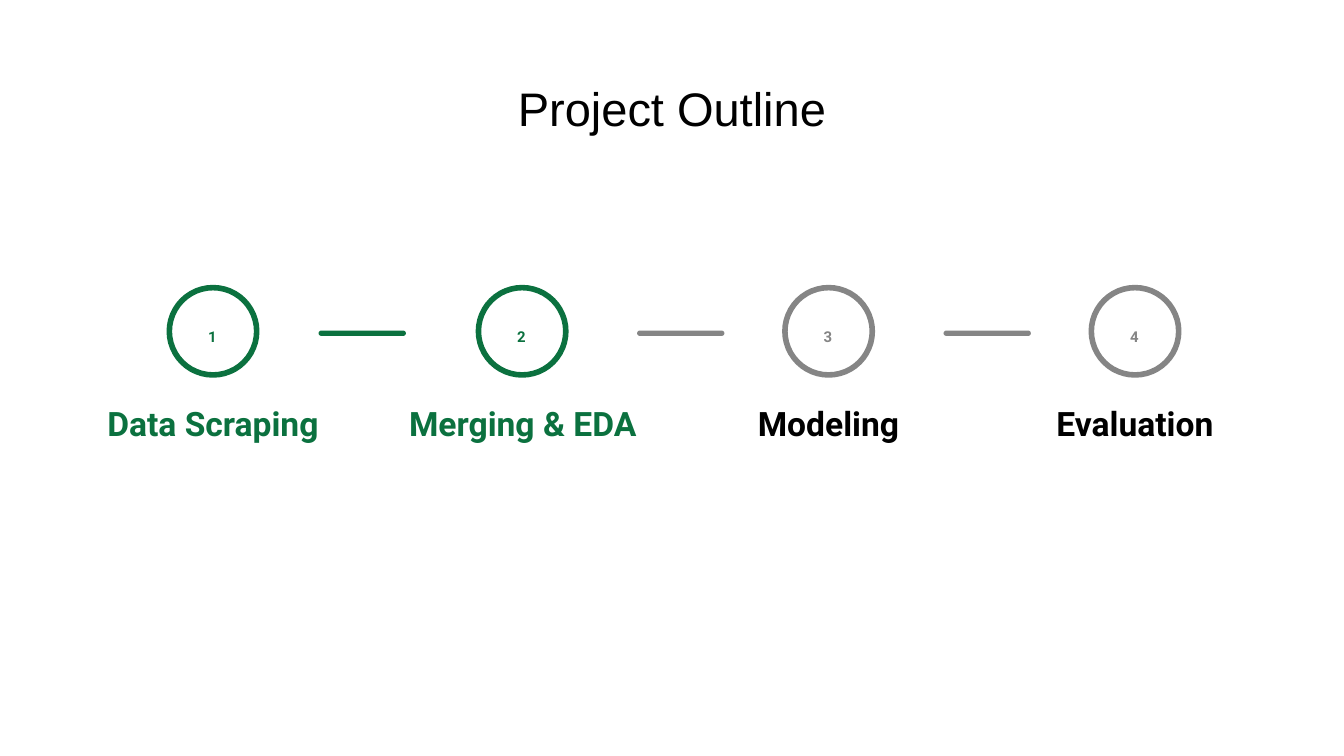
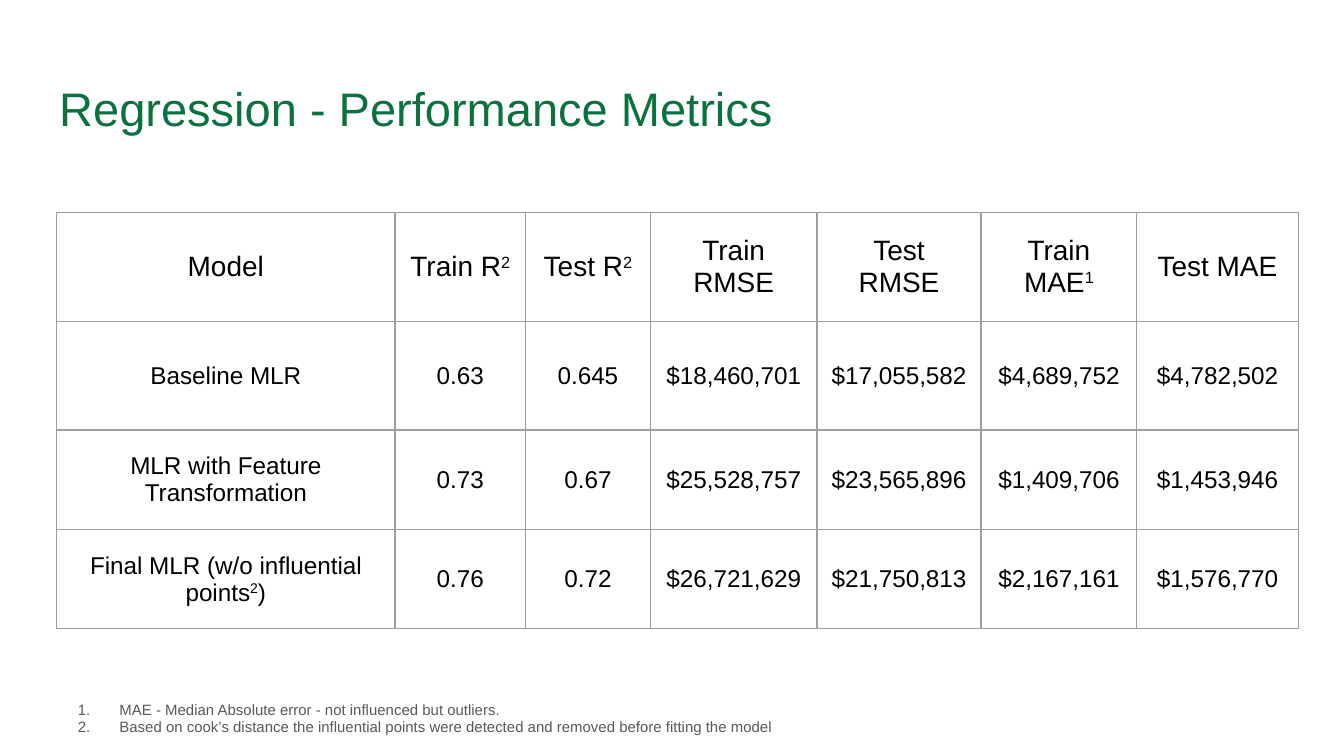
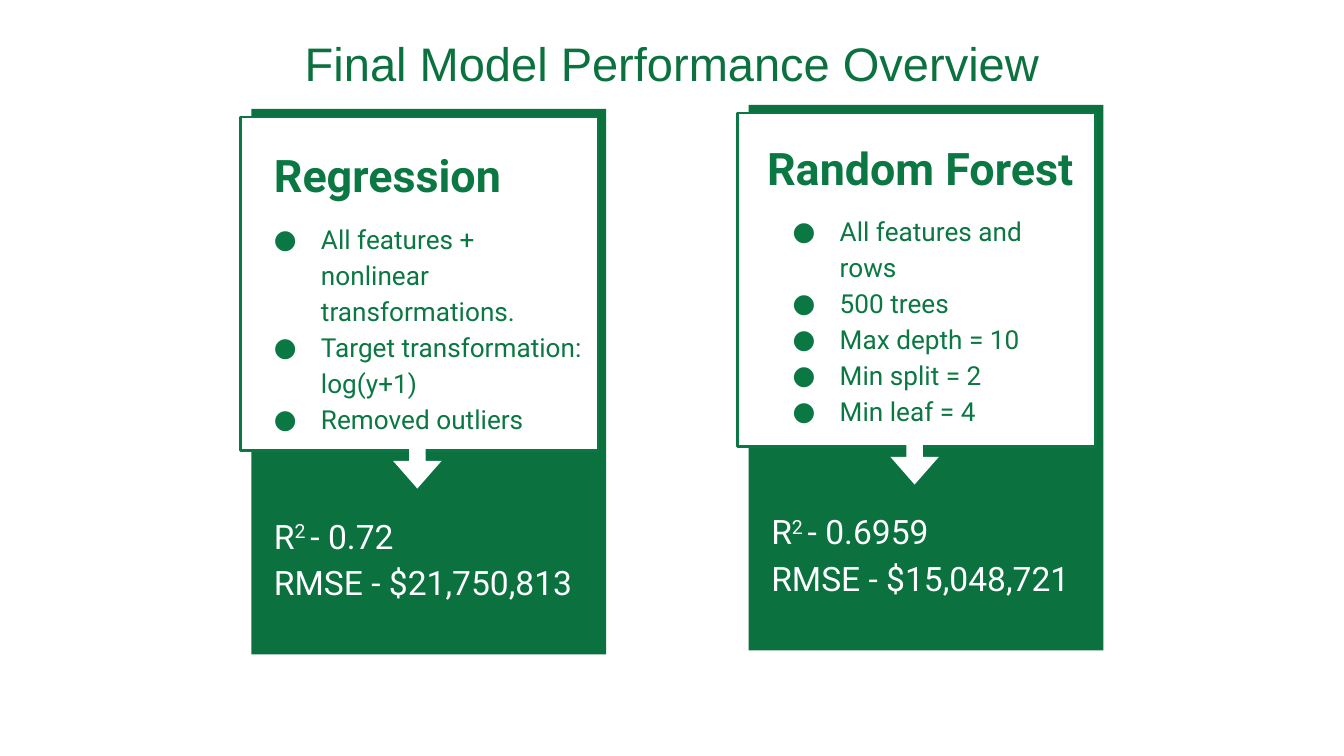
import pptx
import pptx.util
import pptx.dml.color
import pptx.enum.shapes
import pptx.enum.text
import pptx.oxml
import pptx.oxml.ns
import lxml.etree

RGBColor = pptx.dml.color.RGBColor
GREEN = RGBColor(0x0B, 0x71, 0x3F)
BRIGHT_GREEN = RGBColor(0x0B, 0x77, 0x43)
BLACK = RGBColor(0, 0, 0)
WHITE = RGBColor(0xFF, 0xFF, 0xFF)
GREY = RGBColor(0x85, 0x85, 0x85)
RULE_GREY = RGBColor(0x9E, 0x9E, 0x9E)
NOTE_GREY = RGBColor(0x59, 0x59, 0x59)

SHAPE = pptx.enum.shapes.MSO_SHAPE
LEFT = pptx.enum.text.PP_ALIGN.LEFT
CENTER = pptx.enum.text.PP_ALIGN.CENTER
TOP = pptx.enum.text.MSO_ANCHOR.TOP
MIDDLE = pptx.enum.text.MSO_ANCHOR.MIDDLE
BOTTOM = pptx.enum.text.MSO_ANCHOR.BOTTOM

EMU_PER_PX = 9144  # 100 px to the inch
SLIDE_WIDTH = 1000
INSET = 10
TITLE_ONLY = 5


def px(length):
    return pptx.util.Emu(length * EMU_PER_PX)


def place(box):
    return [px(length) for length in box]


# Shared text and shape helpers
def set_bullet(paragraph, bullet, color, font, hang):
    """Give a paragraph a hanging bullet, or a number when bullet is None."""
    props = paragraph._p.get_or_add_pPr()
    props.set("marL", str(px(50)))
    props.set("indent", str(-px(hang)))
    qn = pptx.oxml.ns.qn
    bullet_color = lxml.etree.SubElement(props, qn("a:buClr"))
    lxml.etree.SubElement(bullet_color, qn("a:srgbClr"), val=str(color))
    lxml.etree.SubElement(props, qn("a:buFont"), typeface=font)
    if bullet is None:
        lxml.etree.SubElement(props, qn("a:buAutoNum"), type="arabicPeriod")
    else:
        lxml.etree.SubElement(props, qn("a:buChar"), char=bullet)


def add_runs(paragraph, text, size, color, font="Arial", bold=False):
    """Add text run by run; parts between ^ marks are superscript."""
    for index, part in enumerate(text.split("^")):
        if not part:
            continue
        run = paragraph.add_run()
        run.text = part
        run.font.size = pptx.util.Pt(size)
        run.font.name = font
        run.font.bold = bold
        run.font.color.rgb = color
        if index % 2:
            run._r.get_or_add_rPr().set("baseline", "30000")


def set_frame(frame, anchor):
    frame.word_wrap = True
    frame.auto_size = pptx.enum.text.MSO_AUTO_SIZE.NONE
    frame.vertical_anchor = anchor
    frame.margin_left = frame.margin_right = px(INSET)
    frame.margin_top = frame.margin_bottom = px(INSET)


def add_text(shapes, box, lines, size, color, font="Roboto", bold=False, align=LEFT,
             anchor=TOP, spacing=None, after=None, bullet="", hang=35):
    frame = shapes.add_textbox(*place(box)).text_frame
    set_frame(frame, anchor)
    for index, line in enumerate(lines):
        paragraph = frame.add_paragraph() if index else frame.paragraphs[0]
        paragraph.alignment = align
        if spacing:
            paragraph.line_spacing = spacing
        if after:
            paragraph.space_after = pptx.util.Pt(after)
        if bullet != "":
            set_bullet(paragraph, bullet, color, font, hang)
        add_runs(paragraph, line, size, color, font, bold)


def add_figure(shapes, kind, box, fill=None, line=None, line_width=1):
    figure = shapes.add_shape(kind, *place(box))
    figure.shadow.inherit = False
    if fill is None:
        figure.fill.background()
    else:
        figure.fill.solid()
        figure.fill.fore_color.rgb = fill
    if line is None:
        figure.line.fill.background()
    else:
        figure.line.color.rgb = line
        figure.line.width = pptx.util.Pt(line_width)
    return figure


def add_titled_slide(deck, text, color, align, top=49):
    slide = deck.slides.add_slide(deck.slide_layouts[TITLE_ONLY])
    title = slide.shapes.title
    title.left, title.top, title.width, title.height = place((34, top, 932, 63))
    set_frame(title.text_frame, TOP)
    paragraph = title.text_frame.paragraphs[0]
    paragraph.alignment = align
    add_runs(paragraph, text, 25.2, color)
    return slide


# Project outline: numbered steps with bars between them
STEPS_TOP = 214
CIRCLE = 65
STEPS = [  # name, circle left, label left, label width, ring colour, label colour
    ("Data Scraping", 126, 65, 187, GREEN, GREEN),
    ("Merging & EDA", 356, 278, 222, GREEN, GREEN),
    ("Modeling", 584, 523, 187, GREY, BLACK),
    ("Evaluation", 812, 751, 187, GREY, BLACK),
]
BARS = [(237, GREEN), (474, GREY), (702, GREY)]


def add_step(slide, number, name, left, label_left, label_width, ring_color, label_color):
    step = slide.shapes.add_group_shape().shapes
    add_figure(step, SHAPE.OVAL, (left, STEPS_TOP, CIRCLE, CIRCLE),
               line=ring_color, line_width=3)
    add_text(step, (left + 8, STEPS_TOP + 18, 48, 35), [str(number)], 8, ring_color,
             bold=True, align=CENTER, spacing=1.15, after=16)
    add_text(step, (label_left, STEPS_TOP + 77, label_width, 49), [name], 18,
             label_color, bold=True, align=CENTER, anchor=BOTTOM, spacing=1.15)


def build_outline(deck):
    slide = add_titled_slide(deck, "Project Outline", BLACK, CENTER)
    for number, step in enumerate(STEPS, 1):
        add_step(slide, number, *step)
    for left, color in BARS:
        bar = add_figure(slide.shapes, SHAPE.ROUNDED_RECTANGLE,
                         (left, STEPS_TOP + 32, 65, 4), fill=color)
        bar.adjustments[0] = 0.5


# Regression metrics: table and footnotes
METRICS = [
    ("Model", "Train R^2^", "Test R^2^", "Train RMSE", "Test RMSE",
     "Train MAE^1^", "Test MAE"),
    ("Baseline MLR", "0.63", "0.645", "$18,460,701", "$17,055,582",
     "$4,689,752", "$4,782,502"),
    ("MLR with Feature Transformation", "0.73", "0.67", "$25,528,757", "$23,565,896",
     "$1,409,706", "$1,453,946"),
    ("Final MLR (w/o influential points^2^)", "0.76", "0.72", "$26,721,629",
     "$21,750,813", "$2,167,161", "$1,576,770"),
]
COLUMN_WIDTHS = [252, 97, 93, 124, 122, 116, 120]
ROW_HEIGHTS = [81, 81, 74, 74]
FOOTNOTES = [
    "MAE - Median Absolute error - not influenced but outliers.",
    "Based on cook’s distance the influential points were detected and removed "
    "before fitting the model",
]


def set_borders(cell):
    props = cell._tc.get_or_add_tcPr()
    for position, side in enumerate(("lnL", "lnR", "lnT", "lnB")):
        props.insert(position, pptx.oxml.parse_xml(
            f'<a:{side} {pptx.oxml.ns.nsdecls("a")} w="9525"><a:solidFill>'
            f'<a:srgbClr val="{RULE_GREY}"/></a:solidFill></a:{side}>'))


def add_metrics_table(slide, left, top):
    box = (left, top, sum(COLUMN_WIDTHS), sum(ROW_HEIGHTS))
    table = slide.shapes.add_table(len(METRICS), len(COLUMN_WIDTHS), *place(box)).table
    table.first_row = table.horz_banding = False
    for column, width in zip(table.columns, COLUMN_WIDTHS):
        column.width = px(width)
    for row_index, values in enumerate(METRICS):
        table.rows[row_index].height = px(ROW_HEIGHTS[row_index])
        for column_index, value in enumerate(values):
            cell = table.cell(row_index, column_index)
            cell.fill.background()
            cell.vertical_anchor = MIDDLE
            cell.margin_left = cell.margin_right = px(INSET)
            cell.margin_top = cell.margin_bottom = px(INSET)
            set_borders(cell)
            paragraph = cell.text_frame.paragraphs[0]
            paragraph.alignment = CENTER
            add_runs(paragraph, value, 13 if row_index else 15, BLACK)


def build_metrics(deck):
    slide = add_titled_slide(deck, "Regression - Performance Metrics", GREEN, LEFT)
    add_metrics_table(slide, 42, 158)
    add_text(slide.shapes, (29, 511, 725, 34), FOOTNOTES, 8, NOTE_GREY, font="Arial",
             bullet=None, hang=31)


# Performance overview: one card per model
def add_model_card(slide, left, top, heading, heading_box, features, features_box, results):
    card = slide.shapes.add_group_shape().shapes

    def inside(box):
        return (left + box[0], top + box[1], box[2], box[3])

    add_figure(card, SHAPE.RECTANGLE, inside((0, 0, 264, 406)), fill=GREEN)
    add_figure(card, SHAPE.RECTANGLE, inside((-8, 6, 266, 248)), fill=WHITE,
               line=BRIGHT_GREEN, line_width=1.5)
    add_text(card, inside(features_box), features, 14, BRIGHT_GREEN, spacing=1.15,
             bullet="●")
    add_text(card, inside(heading_box), [heading], 24, BRIGHT_GREEN, bold=True)
    arrow = add_figure(card, SHAPE.RIGHT_ARROW, inside((104, 245, 39, 36)), fill=WHITE)
    arrow.rotation = 90
    arrow.adjustments[0] = 0.34
    arrow.adjustments[1] = 0.57
    add_text(card, inside((7, 288, 249, 108)), results, 18, WHITE, spacing=1.15)


def build_overview(deck):
    slide = add_titled_slide(deck, "Final Model Performance Overview", GREEN, CENTER, top=16)
    add_model_card(
        slide, 557, 78, "Random Forest", (4, 17, 257, 67),
        ["All features and rows", "500 trees", "Max depth = 10", "Min split = 2",
         "Min leaf = 4"], (8, 69, 236, 170),
        ["R^2 ^- 0.6959", "RMSE - $15,048,721"])
    add_model_card(
        slide, 187, 81, "Regression", (7, 19, 236, 67),
        ["All features + nonlinear transformations.", "Target transformation: log(y+1)",
         "Removed outliers"], (-8, 72, 264, 167),
        ["R^2 ^- 0.72", "RMSE - $21,750,813"])


def main():
    deck = pptx.Presentation()
    deck.slide_width = px(SLIDE_WIDTH)
    deck.slide_height = pptx.util.Emu(deck.slide_width * 9 // 16)
    build_outline(deck)
    build_metrics(deck)
    build_overview(deck)
    deck.save("out.pptx")


if __name__ == "__main__":
    main()
